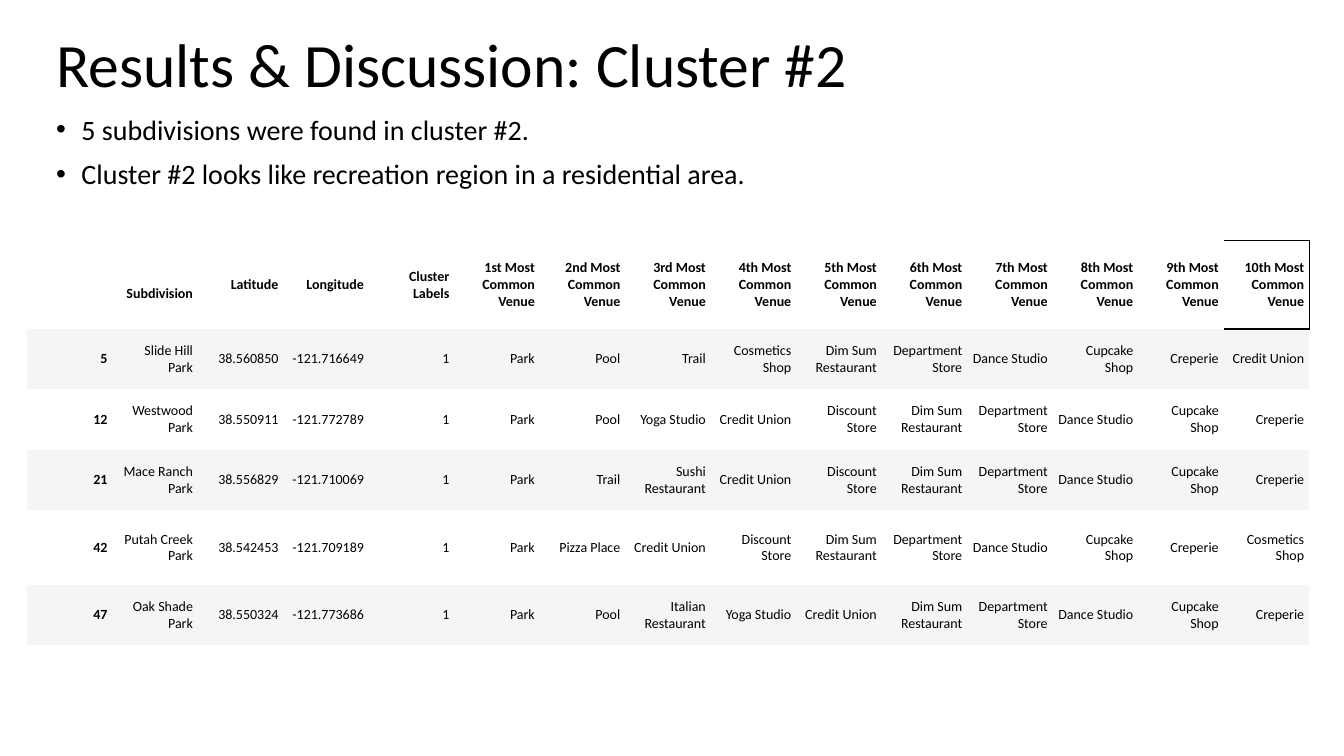
from lxml.etree import SubElement
from pptx import Presentation
from pptx.dml.color import RGBColor
from pptx.enum.text import MSO_ANCHOR, PP_ALIGN
from pptx.oxml.ns import qn
from pptx.util import Pt

FONT = "Calibri"
BLACK = "000000"
BAND = "F5F5F5"
NO_STYLE = "{2D5ABB26-0587-4C30-8999-92F81FD0307C}"
COLUMN_WIDTH = 61.06
ROW_HEIGHTS = [63, 43.2, 43.2, 43.2, 53.28, 43.2]

ORDINALS = ["1st", "2nd", "3rd"] + [f"{rank}th" for rank in range(4, 11)]
HEADERS = ["", "\nSubdivision", "Latitude", "Longitude", "Cluster Labels"] + [
    f"{ordinal} Most Common Venue" for ordinal in ORDINALS
]
SUBDIVISIONS = [
    ["5", "Slide Hill Park", "38.560850", "-121.716649", "1", "Park", "Pool", "Trail",
     "Cosmetics Shop", "Dim Sum Restaurant", "Department Store", "Dance Studio",
     "Cupcake Shop", "Creperie", "Credit Union"],
    ["12", "Westwood Park", "38.550911", "-121.772789", "1", "Park", "Pool", "Yoga Studio",
     "Credit Union", "Discount Store", "Dim Sum Restaurant", "Department Store",
     "Dance Studio", "Cupcake Shop", "Creperie"],
    ["21", "Mace Ranch Park", "38.556829", "-121.710069", "1", "Park", "Trail",
     "Sushi Restaurant", "Credit Union", "Discount Store", "Dim Sum Restaurant",
     "Department Store", "Dance Studio", "Cupcake Shop", "Creperie"],
    ["42", "Putah Creek Park", "38.542453", "-121.709189", "1", "Park", "Pizza Place",
     "Credit Union", "Discount Store", "Dim Sum Restaurant", "Department Store",
     "Dance Studio", "Cupcake Shop", "Creperie", "Cosmetics Shop"],
    ["47", "Oak Shade Park", "38.550324", "-121.773686", "1", "Park", "Pool",
     "Italian Restaurant", "Yoga Studio", "Credit Union", "Dim Sum Restaurant",
     "Department Store", "Dance Studio", "Cupcake Shop", "Creperie"],
]


def color(value):
    return RGBColor.from_string(value)


def add_run(paragraph, text, size, bold=False):
    run = paragraph.add_run()
    run.text = text
    run.font.name = FONT
    run.font.size = Pt(size)
    run.font.bold = bold
    run.font.color.rgb = color(BLACK)


def add_break(paragraph, size):
    paragraph.add_line_break()
    line_break = paragraph._p.find(qn("a:br"))
    SubElement(line_break, qn("a:rPr"), sz=str(size * 100))


def add_bullet(paragraph):
    properties = paragraph._p.get_or_add_pPr()
    properties.set("marL", str(Pt(18)))
    properties.set("indent", str(-Pt(18)))
    SubElement(properties, qn("a:buFont"), typeface="Arial")
    SubElement(properties, qn("a:buChar"), char="•")


def add_text(slide, left, top, width, height, lines, size, anchor, bulleted=False):
    frame = slide.shapes.add_textbox(Pt(left), Pt(top), Pt(width), Pt(height)).text_frame
    frame.word_wrap = True
    frame.vertical_anchor = anchor
    for index, line in enumerate(lines):
        paragraph = frame.add_paragraph() if index else frame.paragraphs[0]
        paragraph.line_spacing = 0.9
        if bulleted:
            paragraph.space_before = Pt(10)
            add_bullet(paragraph)
        add_run(paragraph, line, size)


def fill_cell(cell, text, bold, banded):
    cell.margin_left = cell.margin_right = Pt(3.8)
    cell.margin_top = cell.margin_bottom = Pt(1.9)
    cell.vertical_anchor = MSO_ANCHOR.MIDDLE
    if banded:
        cell.fill.solid()
        cell.fill.fore_color.rgb = color(BAND)
    else:
        cell.fill.background()
    paragraph = cell.text_frame.paragraphs[0]
    paragraph.alignment = PP_ALIGN.RIGHT
    if text.startswith("\n"):
        add_break(paragraph, 10)
    if text:
        add_run(paragraph, text.strip(), 10, bold)


def add_borders(cell, sides):
    properties = cell._tc.get_or_add_tcPr()
    for position, side in enumerate(sides):
        line = properties.makeelement(qn(f"a:{side}"), {"w": str(Pt(1))})
        fill = SubElement(line, qn("a:solidFill"))
        SubElement(fill, qn("a:srgbClr"), val=BLACK)
        properties.insert(position, line)


def add_venue_table(slide, left, top):
    rows = [HEADERS] + SUBDIVISIONS
    frame = slide.shapes.add_table(
        len(rows), len(HEADERS), Pt(left), Pt(top),
        Pt(COLUMN_WIDTH * len(HEADERS)), Pt(sum(ROW_HEIGHTS)))
    table = frame.table
    table.first_row = table.horz_banding = False
    table._tbl.tblPr.find(qn("a:tableStyleId")).text = NO_STYLE
    for column in table.columns:
        column.width = Pt(COLUMN_WIDTH)
    for row_index, texts in enumerate(rows):
        table.rows[row_index].height = Pt(ROW_HEIGHTS[row_index])
        for column_index, text in enumerate(texts):
            bold = row_index == 0 or column_index == 0
            fill_cell(table.cell(row_index, column_index), text, bold, row_index % 2 == 1)
    add_borders(table.cell(0, len(HEADERS) - 1), ["lnR", "lnT", "lnB"])


def main():
    presentation = Presentation()
    presentation.slide_width = Pt(960)
    presentation.slide_height = Pt(540)
    slide = presentation.slides.add_slide(presentation.slide_layouts[6])

    # Title and findings
    add_text(slide, 33.12, 18.72, 828, 59.76, ["Results & Discussion: Cluster #2"],
             44, MSO_ANCHOR.MIDDLE)
    add_text(slide, 33.12, 79.2, 844.56, 66.96,
             ["5 subdivisions were found in cluster #2.",
              "Cluster #2 looks like recreation region in a residential area."],
             20, MSO_ANCHOR.TOP, bulleted=True)

    # Most common venues by subdivision
    add_venue_table(slide, 19.44, 172)

    presentation.save("out.pptx")


if __name__ == "__main__":
    main()
